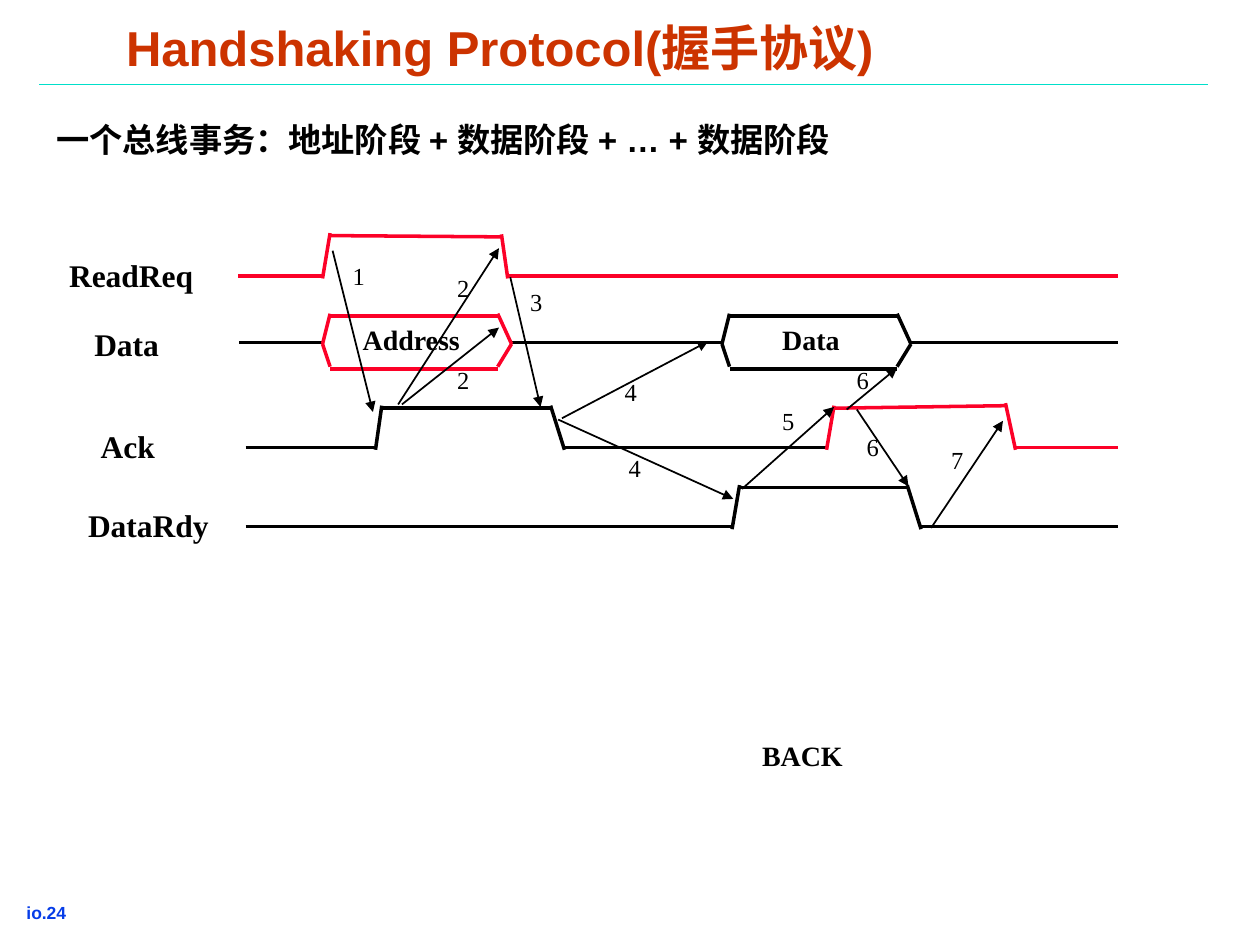
from dataclasses import dataclass
from itertools import pairwise

from lxml import etree
from pptx import Presentation
from pptx.dml.color import RGBColor
from pptx.enum.shapes import MSO_CONNECTOR
from pptx.enum.text import MSO_AUTO_SIZE
from pptx.oxml.ns import qn
from pptx.util import Inches, Pt

BLACK, RED, TEAL = "000000", "FC0128", "00DFCA"
SERIF, SANS = "Times New Roman", "Arial"
OVERSHOOT = 0.02  # edges run slightly past the levels they join

Point = tuple[float, float]


@dataclass(frozen=True)
class Label:
    text: str
    left: float
    top: float
    width: float
    height: float
    size: float
    font: str = SERIF
    color: str = BLACK
    bold: bool = True
    inset: Point = (0.1, 0.05)
    line_spacing: float | None = None


@dataclass(frozen=True)
class Wave:
    color: str
    points: tuple[Point, ...]


@dataclass(frozen=True)
class Step:
    """A numbered cause-and-effect arrow between two signals."""
    number: str
    start: Point
    end: Point
    number_at: Point


HEADINGS = (
    Label("io.24", 0.14, 7.13, 0.97, 0.22, 10, SANS, "063DE8", inset=(0.07, 0.03)),
    Label("Handshaking Protocol(握手协议)", 0.93, 0.17, 6.95, 0.46, 28, SANS,
          "CC3300", inset=(0.07, 0.03), line_spacing=0.87),
    Label("一个总线事务：地址阶段 + 数据阶段 + … + 数据阶段",
          0.35, 0.9, 7.06, 0.42, 19, SANS),
    Label("BACK", 5.95, 5.81, 1.75, 0.37, 16),
)
SIGNAL_NAMES = (
    Label("ReadReq", 0.45, 1.98, 1.23, 0.4, 18),
    Label("Data", 0.65, 2.53, 0.76, 0.4, 18),
    Label("Ack", 0.7, 3.34, 0.68, 0.4, 18),
    Label("DataRdy", 0.6, 3.97, 1.21, 0.4, 18),
)
BUS_CONTENTS = (
    Label("Address", 2.78, 2.51, 1.02, 0.36, 16),
    Label("Data", 6.11, 2.51, 0.7, 0.36, 16),
)
WAVES = (
    Wave(RED, ((1.89, 2.19), (2.56, 2.19), (2.62, 1.87), (3.98, 1.88),
               (4.03, 2.19), (8.87, 2.19))),
    Wave(BLACK, ((1.9, 2.72), (2.56, 2.72))),
    Wave(BLACK, ((4.06, 2.72), (5.74, 2.72))),
    Wave(BLACK, ((7.23, 2.72), (8.87, 2.72))),
    Wave(BLACK, ((1.95, 3.55), (2.98, 3.55), (3.03, 3.24), (4.37, 3.24),
                 (4.48, 3.55), (6.56, 3.55))),
    Wave(RED, ((6.56, 3.55), (6.62, 3.24), (7.98, 3.22), (8.06, 3.55),
               (8.87, 3.55))),
    Wave(BLACK, ((1.95, 4.18), (5.81, 4.18), (5.87, 3.87), (7.2, 3.87),
                 (7.31, 4.18), (8.87, 4.18))),
)
STEPS = (
    Step("1", (2.64, 1.99), (2.96, 3.27), (2.7, 2.02)),
    Step("2", (3.16, 3.21), (3.96, 1.97), (3.53, 2.12)),
    Step("2", (3.19, 3.21), (3.96, 2.6), (3.53, 2.85)),
    Step("3", (4.05, 2.2), (4.29, 3.23), (4.11, 2.23)),
    Step("4", (4.46, 3.32), (5.62, 2.71), (4.86, 2.94)),
    Step("4", (4.43, 3.33), (5.82, 3.96), (4.89, 3.55)),
    Step("5", (5.89, 3.88), (6.62, 3.23), (6.11, 3.17)),
    Step("6", (6.72, 3.25), (7.12, 2.92), (6.7, 2.85)),
    Step("6", (6.8, 3.25), (7.21, 3.86), (6.78, 3.38)),
    Step("7", (7.39, 4.19), (7.96, 3.34), (7.45, 3.48)),
)


def rgb(color: str) -> RGBColor:
    return RGBColor.from_string(color)


def draw_line(slide, start: Point, end: Point, color: str = BLACK,
              width: float = 1, arrow: bool = False) -> None:
    line = slide.shapes.add_connector(
        MSO_CONNECTOR.STRAIGHT, *(Inches(v) for v in (*start, *end)))
    line.line.color.rgb = rgb(color)
    line.line.width = Pt(width)
    properties = line._element.spPr
    if arrow:
        etree.SubElement(properties.find(qn("a:ln")), qn("a:tailEnd"), type="triangle")
    etree.SubElement(properties, qn("a:effectLst"))


def draw_label(slide, label: Label) -> None:
    box = slide.shapes.add_textbox(
        *(Inches(v) for v in (label.left, label.top, label.width, label.height)))
    frame = box.text_frame
    frame.margin_left = frame.margin_right = Inches(label.inset[0])
    frame.margin_top = frame.margin_bottom = Inches(label.inset[1])
    frame.word_wrap = True
    frame.auto_size = MSO_AUTO_SIZE.SHAPE_TO_FIT_TEXT
    frame.text = label.text
    paragraph = frame.paragraphs[0]
    if label.line_spacing:
        paragraph.line_spacing = label.line_spacing
    font = paragraph.runs[0].font
    font.name, font.size, font.bold = label.font, Pt(label.size), label.bold
    font.color.rgb = rgb(label.color)


def draw_wave(slide, wave: Wave) -> None:
    for (x1, y1), (x2, y2) in pairwise(wave.points):
        if abs(y2 - y1) > 0.1:
            extra = OVERSHOOT if y2 > y1 else -OVERSHOOT
            y1, y2 = y1 - extra, y2 + extra
        draw_line(slide, (x1, y1), (x2, y2), wave.color, 2)


def draw_bus_value(slide, left: float, color: str) -> None:
    """Draw the six-sided outline of a valid value on the data bus."""
    top, middle, bottom = 2.51, 2.73, 2.93
    inner_left, inner_right, right = left + 0.06, left + 1.39, left + 1.5
    for y in (top, bottom):
        draw_line(slide, (inner_left, y), (inner_right, y), color, 2)
    for tip, corner in ((left, inner_left), (right, inner_right)):
        for y in (top, bottom):
            draw_line(slide, (tip, middle), (corner, y - OVERSHOOT), color, 2)


def draw_step(slide, step: Step) -> None:
    draw_line(slide, step.start, step.end, arrow=True)
    draw_label(slide, Label(step.number, *step.number_at, 0.35, 0.33, 14, bold=False))


def main() -> None:
    deck = Presentation()
    deck.slide_width, deck.slide_height = Inches(10), Inches(7.5)
    slide = deck.slides.add_slide(deck.slide_layouts[6])

    draw_line(slide, (0.31, 0.67), (9.59, 0.67), TEAL)
    for wave in WAVES:
        draw_wave(slide, wave)
    draw_bus_value(slide, 2.56, RED)
    draw_bus_value(slide, 5.73, BLACK)
    for label in HEADINGS + SIGNAL_NAMES + BUS_CONTENTS:
        draw_label(slide, label)
    for step in STEPS:
        draw_step(slide, step)

    deck.save("out.pptx")


if __name__ == "__main__":
    main()
